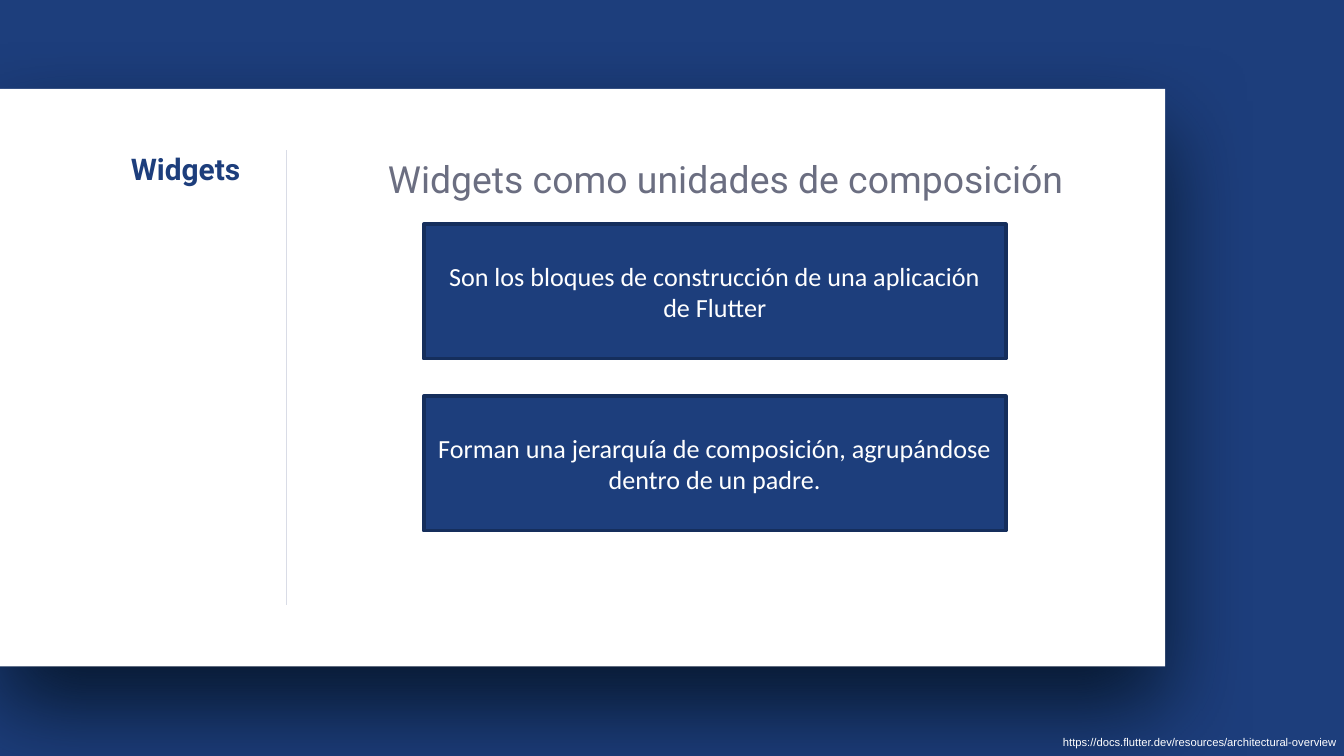
from lxml import etree
from pptx import Presentation
from pptx.dml.color import RGBColor
from pptx.enum import shapes, text
from pptx.oxml import ns
from pptx.util import Cm, Pt

NAVY = RGBColor(0x1D, 0x3E, 0x7C)
DARK = RGBColor(0x15, 0x2E, 0x5C)
WHITE = RGBColor(0xFF, 0xFF, 0xFF)
GRAY = RGBColor(0x6B, 0x6E, 0x81)
PALE = RGBColor(0xD9, 0xDC, 0xE6)
SHADE = RGBColor(0x01, 0x0E, 0x1B)

FACTS = [
    "Son los bloques de construcción de una aplicación de Flutter",
    "Forman una jerarquía de composición, agrupándose dentro de un padre.",
]
SOURCE = "https://docs.flutter.dev/resources/architectural-overview"


def write(frame, words, face, size, color, align, bold=False):
    """Fill a text frame with one styled paragraph and return it."""
    frame.text = words
    para = frame.paragraphs[0]
    para.alignment = align
    font = para.font
    font.name, font.size, font.bold = face, Pt(size), bold
    font.color.rgb = color
    return para


def trim(frame):
    """Remove the margins of a frame and set its text at the top."""
    frame.margin_left = frame.margin_right = 0
    frame.margin_top = frame.margin_bottom = 0
    frame.vertical_anchor = text.MSO_ANCHOR.TOP
    frame.word_wrap = True


def add_rect(slide, box, fill):
    """Add a plain filled rectangle without line or shadow."""
    rect = slide.shapes.add_shape(shapes.MSO_SHAPE.RECTANGLE, *map(Cm, box))
    rect.shadow.inherit = False
    rect.fill.solid()
    rect.fill.fore_color.rgb = fill
    rect.line.fill.background()
    return rect


def add_panel(slide, box):
    """Draw the white panel with its soft shadow below."""
    panel = add_rect(slide, box, WHITE)
    effect = panel.element.spPr.find(ns.qn("a:effectLst"))
    shadow = etree.SubElement(
        effect, ns.qn("a:outerShdw"), blurRad=str(Pt(50)),
        dist=str(Pt(22.5)), dir="5400000", algn="t", rotWithShape="0")
    color = etree.SubElement(shadow, ns.qn("a:srgbClr"), val=str(SHADE))
    etree.SubElement(color, ns.qn("a:alpha"), val="80000")


def add_side(slide, box):
    """Place the title and the rule at the right edge of the box."""
    left, top, width, height = box
    rule = slide.shapes.add_connector(
        shapes.MSO_CONNECTOR.STRAIGHT, Cm(left + width), Cm(top),
        Cm(left + width), Cm(top + height))
    rule.line.color.rgb = PALE
    rule.line.width = Pt(0.75)
    etree.SubElement(rule.element.spPr, ns.qn("a:effectLst"))
    title = slide.shapes.title
    title.element.getparent().append(title.element)
    title.left, title.top = Cm(left), Cm(top)
    title.width, title.height = Cm(width - 0.87), Cm(height)
    trim(title.text_frame)
    write(title.text_frame, "Widgets", "Roboto", 16, NAVY,
          text.PP_ALIGN.RIGHT, True)


def add_head(slide, box):
    """Write the heading above the facts."""
    frame = slide.shapes.add_textbox(*map(Cm, box)).text_frame
    trim(frame)
    para = write(frame, "Widgets como unidades de composición", "Roboto", 20,
                 GRAY, text.PP_ALIGN.CENTER)
    para.line_spacing = 1.14
    para._p.get_or_add_pPr().set("marL", str(Cm(0.38)))


def add_facts(slide, box):
    """Stack one bordered card per fact, evenly spaced in the box."""
    left, top, width, height = box
    tall = 2.54
    step = (height - tall) / (len(FACTS) - 1)
    for row, fact in enumerate(FACTS):
        card = add_rect(slide, (left, top + row * step, width, tall), NAVY)
        card.line.color.rgb = DARK
        card.line.width = Pt(2)
        frame = card.text_frame
        frame.word_wrap = True
        frame.vertical_anchor = text.MSO_ANCHOR.MIDDLE
        write(frame, fact, "Calibri", 14, WHITE, text.PP_ALIGN.CENTER)


def add_source(slide, box):
    """Write the source address in the corner."""
    frame = slide.shapes.add_textbox(*map(Cm, box)).text_frame
    frame.word_wrap = False
    frame.auto_size = text.MSO_AUTO_SIZE.SHAPE_TO_FIT_TEXT
    write(frame, SOURCE, "Arial", 6, WHITE, text.PP_ALIGN.LEFT)


def main():
    """Build and save the slide."""
    deck = Presentation()
    deck.slide_width, deck.slide_height = Cm(25.4), Cm(14.29)
    slide = deck.slides.add_slide(deck.slide_layouts[5])
    slide.background.fill.solid()
    slide.background.fill.fore_color.rgb = NAVY
    add_panel(slide, (0, 1.68, 22.02, 10.92))
    add_side(slide, (0.81, 2.84, 4.6, 8.59))
    add_head(slide, (6.1, 2.84, 14.86, 1.4))
    add_facts(slide, (8.01, 4.24, 11, 5.79))
    add_source(slide, (19.84, 13.77, 5.77, 0.51))
    deck.save("out.pptx")


if __name__ == "__main__":
    main()
